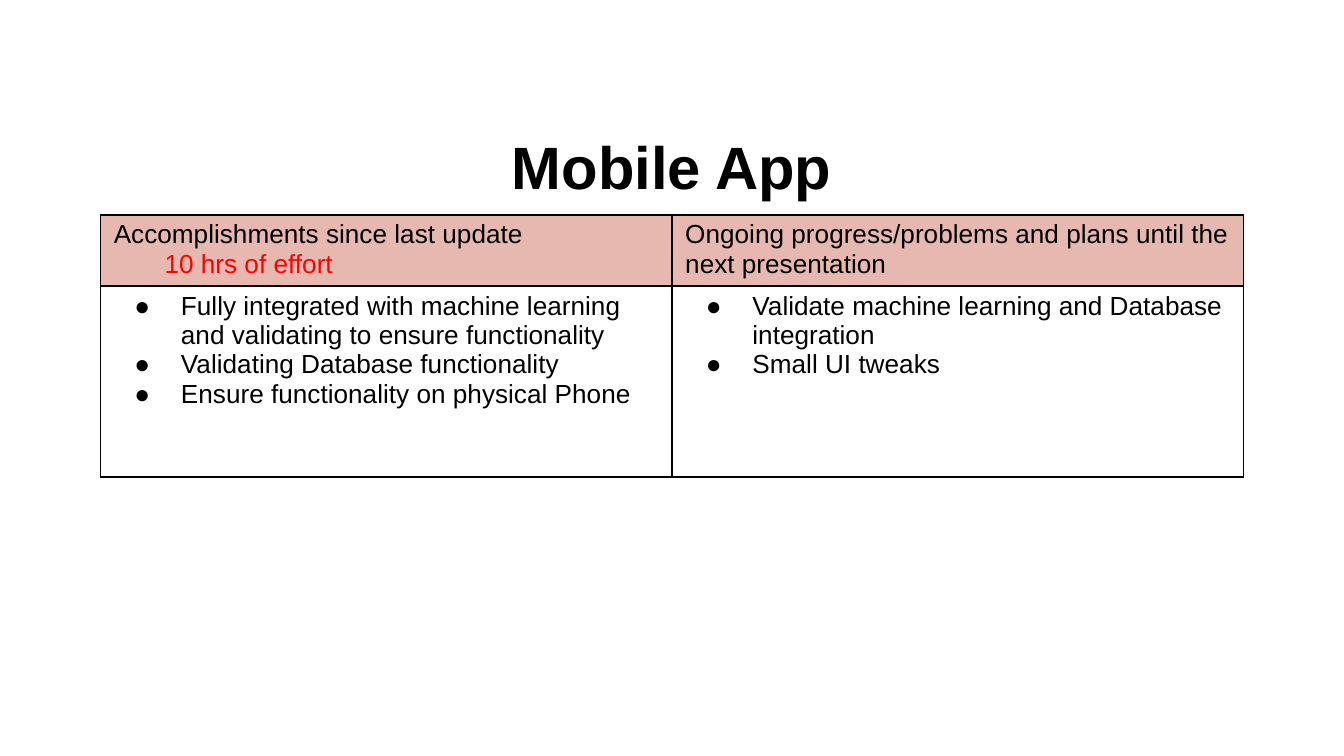
"""Build the Mobile App progress slide: a title over a two-column status table."""
from dataclasses import dataclass

import pptx
import pptx.dml.color
import pptx.enum.text
import pptx.oxml
import pptx.oxml.ns
import pptx.util
from lxml import etree
from pptx.util import Cm


@dataclass(frozen=True)
class Theme:
    font: str = "Arial"
    ink: str = "000000"
    accent: str = "FF0000"
    header: str = "E6B8AF"
    paper: str = "FFFFFF"
    title_size: int = 32
    text_size: int = 14
    border: float = 1


theme = Theme()
rgb = pptx.dml.color.RGBColor.from_string
qn = pptx.oxml.ns.qn


def style(para, size, color, bold=False):
    para.font.name = theme.font
    para.font.size = pptx.util.Pt(size)
    para.font.color.rgb = rgb(color)
    para.font.bold = bold


def indent(para, left, first=0, bullet=None):
    props = para._p.get_or_add_pPr()
    props.set("marL", str(Cm(left)))
    props.set("indent", str(Cm(first)))
    if bullet:
        color = etree.SubElement(props, qn("a:buClr"))
        etree.SubElement(color, qn("a:srgbClr"), val=theme.ink)
        etree.SubElement(props, qn("a:buFont"), typeface=theme.font)
        etree.SubElement(props, qn("a:buChar"), char=bullet)


columns = [
    {
        "heading": "Accomplishments since last update",
        "effort": "10 hrs of effort",
        "items": [
            "Fully integrated with machine learning and validating to ensure functionality",
            "Validating Database functionality",
            "Ensure functionality on physical Phone",
        ],
    },
    {
        "heading": "Ongoing progress/problems and plans until the next presentation",
        "effort": None,
        "items": [
            "Validate machine learning and Database integration",
            "Small UI tweaks",
        ],
    },
]

deck = pptx.Presentation()
deck.slide_width, deck.slide_height = Cm(25.4), Cm(14.29)
page = deck.slides.add_slide(deck.slide_layouts[5])
page.background.fill.solid()
page.background.fill.fore_color.rgb = rgb(theme.paper)

title = page.shapes.title
title.left, title.top, title.width, title.height = Cm(1.27), Cm(2.18), Cm(22.86), Cm(1.68)
title.text_frame.text = "Mobile App"
title.text_frame.vertical_anchor = pptx.enum.text.MSO_ANCHOR.MIDDLE
para = title.text_frame.paragraphs[0]
para.alignment = pptx.enum.text.PP_ALIGN.CENTER
para.line_spacing = 1.15
style(para, theme.title_size, theme.ink, bold=True)

table = page.shapes.add_table(2, 2, Cm(1.9), Cm(4.06), Cm(21.6), Cm(4.96)).table
table.first_row = table.horz_banding = False
table.rows[0].height, table.rows[1].height = Cm(1.35), Cm(3.61)

for index, column in enumerate(columns):
    heading, body = table.cell(0, index), table.cell(1, index)
    heading.text = column["heading"]
    style(heading.text_frame.paragraphs[0], theme.text_size, theme.ink)
    if column["effort"]:
        para = heading.text_frame.add_paragraph()
        para.text = column["effort"]
        indent(para, 0.96)
        style(para, theme.text_size, theme.accent)

    body.text = "\n".join(column["items"])
    for para in body.text_frame.paragraphs:
        indent(para, 1.27, -0.88, "●")
        style(para, theme.text_size, theme.ink)

    for cell in (heading, body):
        cell.margin_left = cell.margin_right = Cm(0.25)
        cell.margin_top = cell.margin_bottom = Cm(0.1)
        props = cell._tc.get_or_add_tcPr()
        for side in ("a:lnL", "a:lnR", "a:lnT", "a:lnB"):
            line = etree.SubElement(props, qn(side), w=str(pptx.util.Pt(theme.border)))
            fill = etree.SubElement(line, qn("a:solidFill"))
            etree.SubElement(fill, qn("a:srgbClr"), val=theme.ink)
    heading.fill.solid()
    heading.fill.fore_color.rgb = rgb(theme.header)
    body.fill.background()

deck.save("out.pptx")
